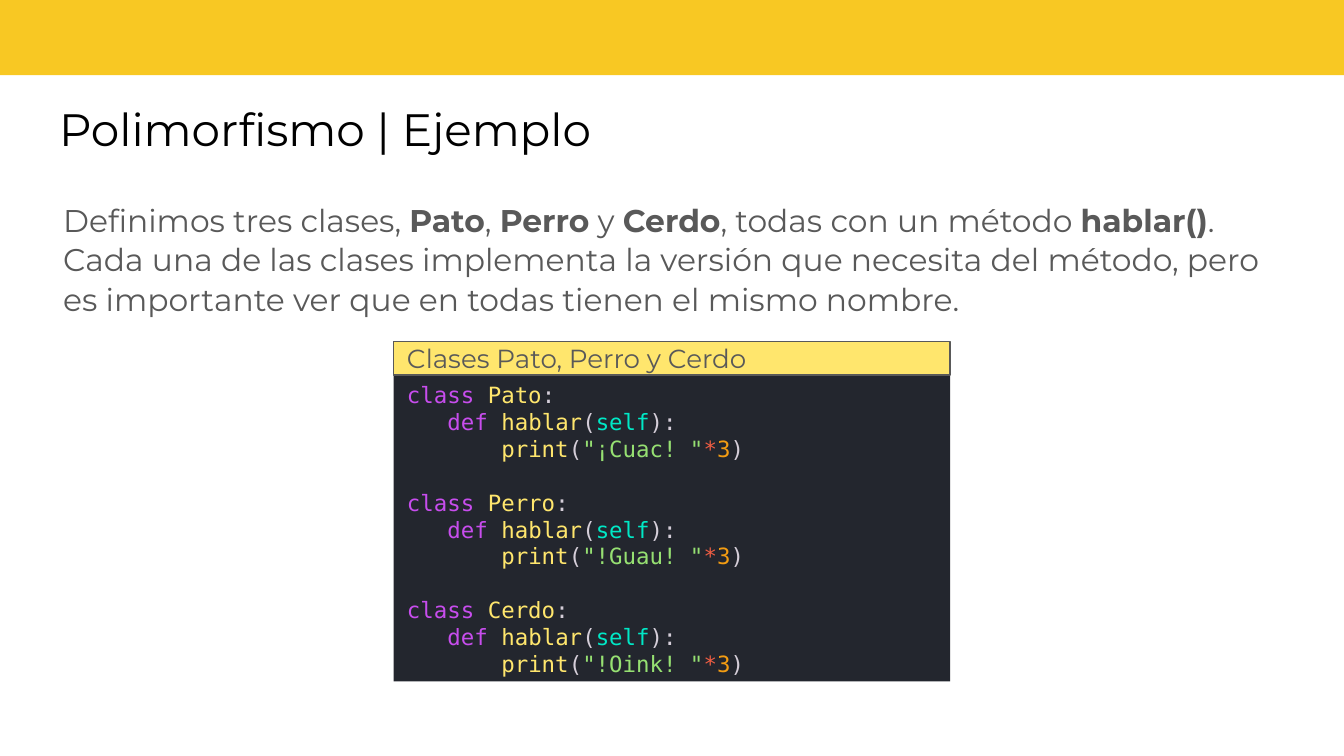
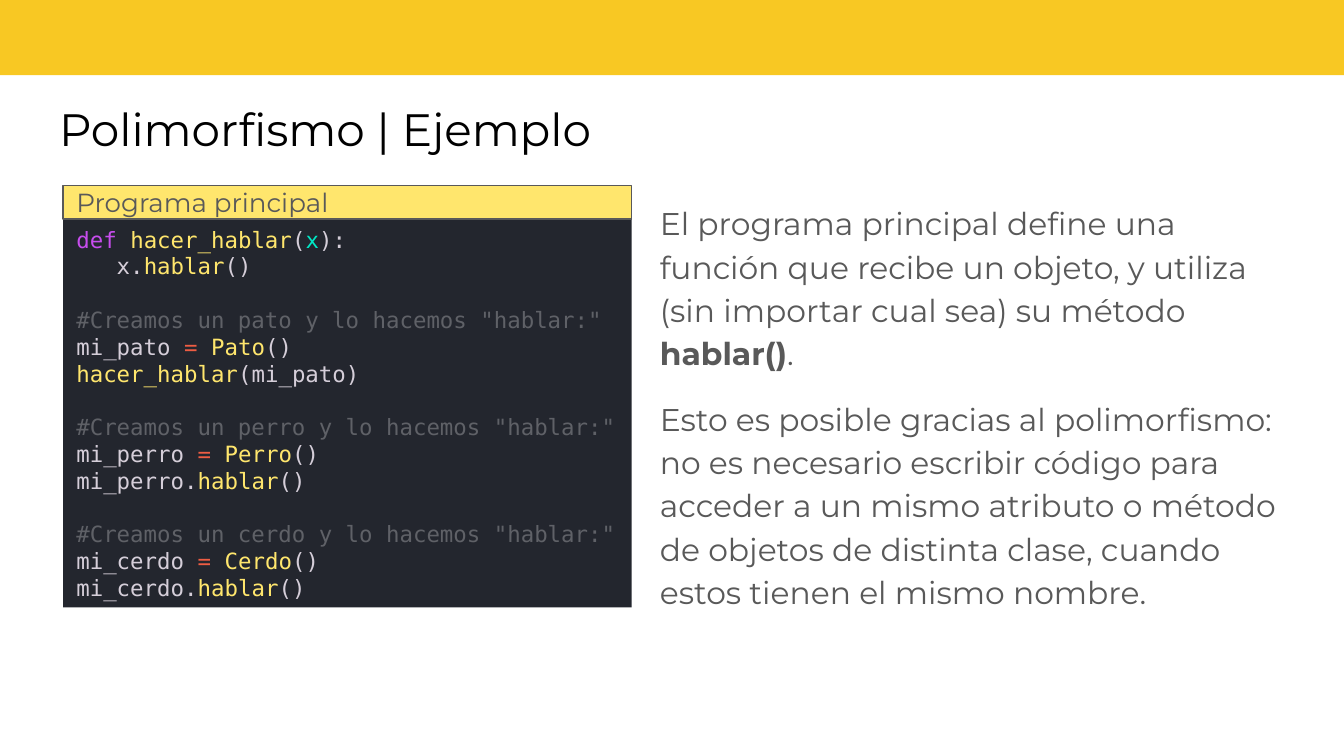
from lxml.etree import SubElement
from pptx import Presentation
from pptx.dml.color import RGBColor
from pptx.enum.shapes import MSO_SHAPE as Shape
from pptx.enum.text import MSO_ANCHOR as Anchor, MSO_AUTO_SIZE as AutoSize, PP_ALIGN as Align
from pptx.oxml.ns import qn
from pptx.util import Inches, Pt

GOLD, YELLOW, GREY, BLACK = "F8C823", "FFE66D", "595959", "000000"
DARK = "23262E"
KEYWORD, PLAIN, NAME, PARAMETER = "C74DED", "D5CED9", YELLOW, "00E8C6"
STRING, OPERATOR, NUMBER, COMMENT = "96E072", "EE5D43", "F39C12", "5F6167"
TEXT_FONT, CODE_FONT = "Montserrat", "DejaVu Sans Mono"
CODE_LINE = 14.2
MARGIN, CONTENT_TOP, HEADER_HEIGHT = 0.47, 1.38, 0.25


def rgb(color):
    return RGBColor.from_string(color)


class Deck:
    """Holds the shared style and the current slide."""

    def __init__(self):
        self.presentation = Presentation()
        self.presentation.slide_width = Inches(10)
        self.presentation.slide_height = Inches(10) * 9 // 16
        self.slide = None

    def place(self, shape, left, top, width, height):
        shape.left, shape.top = Inches(left), Inches(top)
        shape.width, shape.height = Inches(width), Inches(height)

    def frame(self, shape, horizontal, vertical, anchor):
        frame = shape.text_frame
        frame.word_wrap = True
        frame.auto_size = AutoSize.NONE
        frame.vertical_anchor = anchor
        frame.margin_left = frame.margin_right = Inches(horizontal)
        frame.margin_top = frame.margin_bottom = Inches(vertical)
        return frame

    def paragraph(self, frame, index, space_before=0):
        paragraph = frame.add_paragraph() if index else frame.paragraphs[0]
        paragraph.alignment = Align.LEFT
        paragraph.space_before = Pt(space_before if index else 0)
        return paragraph

    def run(self, paragraph, text, size, color, font=TEXT_FONT, bold=False):
        run = paragraph.add_run()
        run.text = text
        run.font.name, run.font.size, run.font.bold = font, Pt(size), bold
        run.font.color.rgb = rgb(color)

    def rectangle(self, left, top, width, height, fill, line=None):
        shape = self.slide.shapes.add_shape(
            Shape.RECTANGLE, Inches(left), Inches(top), Inches(width), Inches(height))
        shape.shadow.inherit = False
        shape.fill.solid()
        shape.fill.fore_color.rgb = rgb(fill)
        if line:
            shape.line.color.rgb = rgb(line)
            shape.line.width = Pt(0.75)
        else:
            shape.line.fill.background()
        return shape

    def new_slide(self, title):
        self.slide = self.presentation.slides.add_slide(self.presentation.slide_layouts[1])
        self.rectangle(-0.01, -0.05, 10.03, 0.61, GOLD)
        shape = self.slide.shapes.title
        self.place(shape, 0.34, 0.65, 9.3, 0.63)
        frame = self.frame(shape, 0.1, 0.1, Anchor.TOP)
        self.run(self.paragraph(frame, 0), title, 24.3, BLACK)

    def body(self, left, width, height, line_spacing, texts):
        shape = self.slide.placeholders[1]
        self.place(shape, left, CONTENT_TOP, width, height)
        frame = self.frame(shape, 0, 0.1, Anchor.TOP)
        for index, text in enumerate(texts):
            paragraph = self.paragraph(frame, index, 12)
            properties = paragraph._p.get_or_add_pPr()
            properties.set("marL", "0")
            properties.set("indent", "0")
            SubElement(properties, qn("a:buNone"))
            paragraph.line_spacing = line_spacing
            for position, part in enumerate(text.split("**")):
                self.run(paragraph, part, 16.8, GREY, bold=position % 2 == 1)

    def code_panel(self, left, top, width, height, heading, blocks):
        code = self.rectangle(left, top + HEADER_HEIGHT, width, height, DARK)
        frame = self.frame(code, 0.1, 0.05, Anchor.TOP)
        index = 0
        for block in blocks:
            for row, line in enumerate(block):
                paragraph = self.paragraph(frame, index, 0 if row else CODE_LINE)
                for text, color in line:
                    self.run(paragraph, text, 12, color, CODE_FONT)
                index += 1
        header = self.rectangle(left, top, width, HEADER_HEIGHT, YELLOW, GREY)
        frame = self.frame(header, 0.1, 0.05, Anchor.MIDDLE)
        self.run(self.paragraph(frame, 0), heading, 14, GREY)


def animal_class(name, sound):
    return [
        [("class", KEYWORD), (" ", PLAIN), (name, NAME), (":", PLAIN)],
        [("   ", PLAIN), ("def", KEYWORD), (" ", PLAIN), ("hablar", NAME),
         ("(", PLAIN), ("self", PARAMETER), ("):", PLAIN)],
        [("       ", PLAIN), ("print", NAME), ("(", PLAIN), (f'"{sound} "', STRING),
         ("*", OPERATOR), ("3", NUMBER), (")", PLAIN)],
    ]


def animal_use(name, call):
    animal = name.lower()
    return [
        [(f'#Creamos un {animal} y lo hacemos "hablar:"', COMMENT)],
        [(f"mi_{animal} ", PLAIN), ("=", OPERATOR), (" ", PLAIN), (name, NAME), ("()", PLAIN)],
        call,
    ]


def method_call(variable):
    return [(f"{variable}.", PLAIN), ("hablar", NAME), ("()", PLAIN)]


def main():
    deck = Deck()
    title = "Polimorfismo | Ejemplo"

    deck.new_slide(title)
    deck.body(MARGIN, 9.06, 1.12, 1.05, [
        "Definimos tres clases, **Pato**, **Perro** y **Cerdo**, todas con un método "
        "**hablar()**. Cada una de las clases implementa la versión que necesita del método, "
        "pero es importante ver que en todas tienen el mismo nombre."])
    sounds = [("Pato", "¡Cuac!"), ("Perro", "!Guau!"), ("Cerdo", "!Oink!")]
    deck.code_panel(2.93, 2.54, 4.14, 2.28, "Clases Pato, Perro y Cerdo",
                    [animal_class(name, sound) for name, sound in sounds])

    deck.new_slide(title)
    deck.body(4.91, 4.61, 3.44, 1.15, [
        "El programa principal define una función que recibe un objeto, y utiliza "
        "(sin importar cual sea) su método **hablar()**.",
        "Esto es posible gracias al polimorfismo: no es necesario escribir código para "
        "acceder a un mismo atributo o método de objetos de distinta clase, cuando estos "
        "tienen el mismo nombre."])
    function = [
        [("def", KEYWORD), (" ", PLAIN), ("hacer_hablar", NAME), ("(", PLAIN),
         ("x", PARAMETER), ("):", PLAIN)],
        method_call("   x"),
    ]
    deck.code_panel(MARGIN, CONTENT_TOP, 4.23, 2.89, "Programa principal", [
        function,
        animal_use("Pato", [("hacer_hablar", NAME), ("(mi_pato)", PLAIN)]),
        animal_use("Perro", method_call("mi_perro")),
        animal_use("Cerdo", method_call("mi_cerdo")),
    ])

    deck.presentation.save("out.pptx")


if __name__ == "__main__":
    main()
